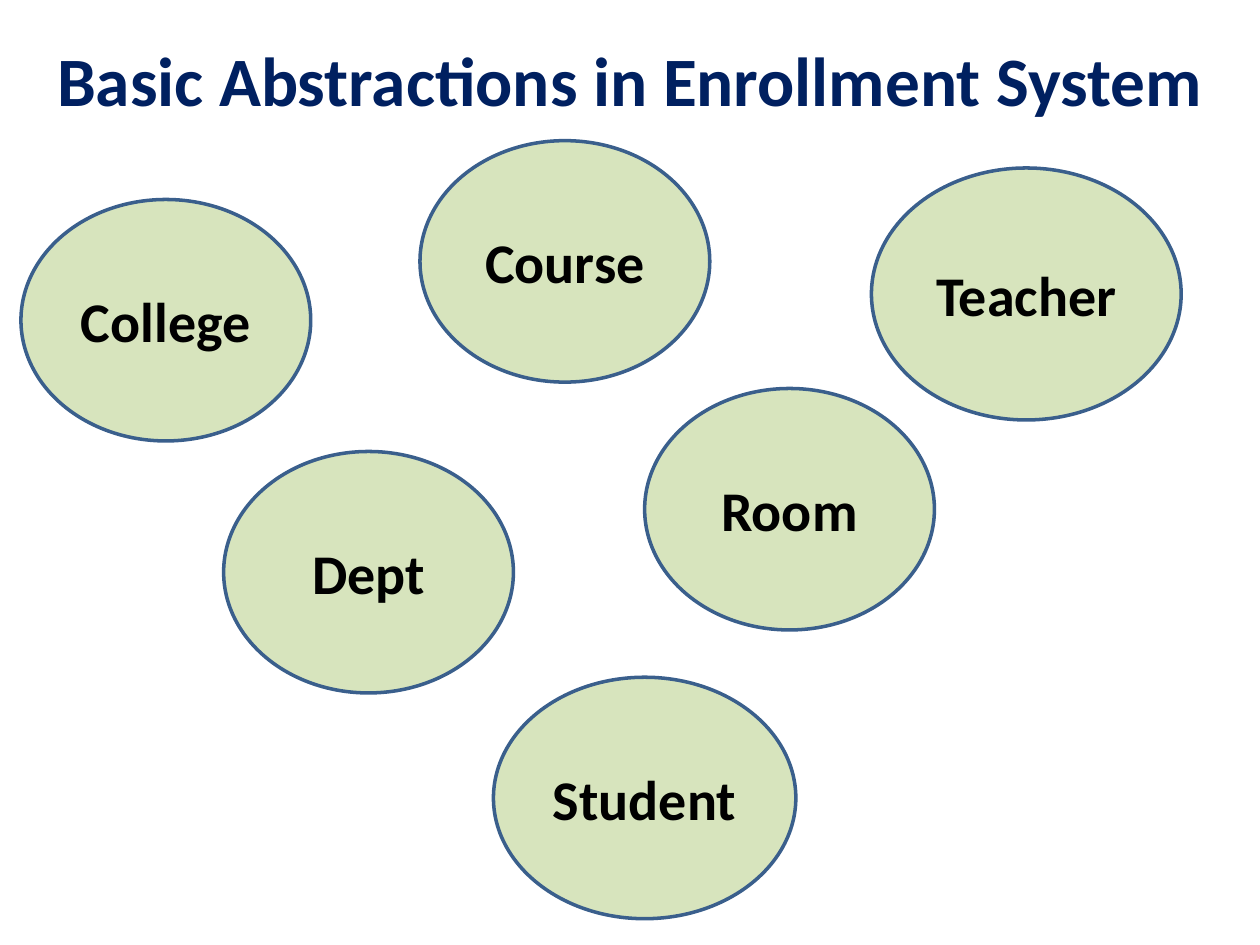
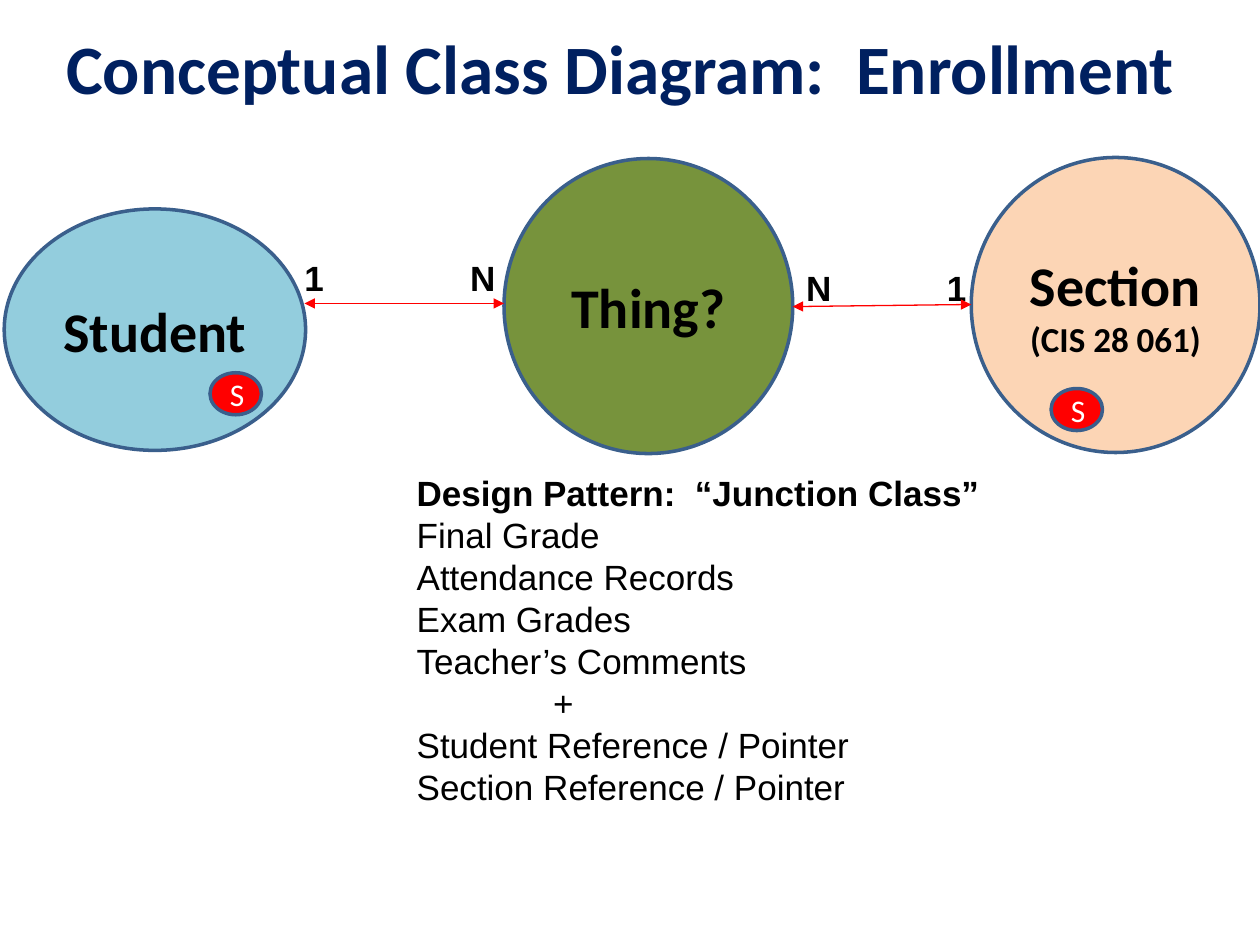
from lxml import etree
from pptx import Presentation, util as u
from pptx.dml.color import RGBColor
from pptx.enum import shapes, text
from pptx.oxml.ns import qn

# Shared grid: 120 columns by 90 rows
COLUMNS, ROWS = 120, 90
WIDTH, HEIGHT = u.Inches(10), u.Inches(7.5)


def colour(value):
    return RGBColor.from_string(value)


class Deck:
    """Holds the shared style and the slide being built."""

    heading_font, label_font = "Calibri", "Arial"
    title_colour, outline, ink, arrow = "002060", "3A5F8C", "000000", "FF0000"

    def __init__(self):
        self.presentation = Presentation()
        self.presentation.slide_width = WIDTH
        self.presentation.slide_height = HEIGHT
        self.slide = None

    def x(self, columns):
        return round(WIDTH * columns / COLUMNS)

    def y(self, rows):
        return round(HEIGHT * rows / ROWS)

    def box(self, left, top, width, height):
        return self.x(left), self.y(top), self.x(width), self.y(height)

    def style(self, paragraph, size, font, ink, bold=True, align=None):
        paragraph.alignment = align
        for run in paragraph.runs:
            run.font.name, run.font.size, run.font.bold = font, u.Pt(size), bold
            run.font.color.rgb = colour(ink)

    def new_slide(self, title, place):
        layout = self.presentation.slide_layouts[5]
        self.slide = self.presentation.slides.add_slide(layout)
        shape = self.slide.shapes.title
        shape.left, shape.top, shape.width, shape.height = self.box(*place)
        frame = shape.text_frame
        frame.text = title
        frame.auto_size = text.MSO_AUTO_SIZE.NONE
        frame.vertical_anchor = text.MSO_ANCHOR.MIDDLE
        self.style(frame.paragraphs[0], 39.6, self.heading_font,
                   self.title_colour, align=text.PP_ALIGN.CENTER)

    def ellipse(self, words, place, fill, sizes=(32,), ink=ink, bold=True):
        shape = self.slide.shapes.add_shape(shapes.MSO_SHAPE.OVAL, *self.box(*place))
        shape.shadow.inherit = False
        shape.fill.solid()
        shape.fill.fore_color.rgb = colour(fill)
        shape.line.color.rgb = colour(self.outline)
        shape.line.width = u.Pt(2)
        frame = shape.text_frame
        frame.text = words
        frame.vertical_anchor = text.MSO_ANCHOR.MIDDLE
        for paragraph, size in zip(frame.paragraphs, sizes):
            self.style(paragraph, size, self.heading_font, ink, bold,
                       text.PP_ALIGN.CENTER)

    def text_box(self, lines, place):
        """Add a box whose first line is bold; return its paragraphs."""
        frame = self.slide.shapes.add_textbox(*self.box(*place)).text_frame
        frame.word_wrap = True
        frame.text = "\n".join(lines)
        for number, paragraph in enumerate(frame.paragraphs):
            self.style(paragraph, 20, self.label_font, self.ink, bold=number == 0)
        return frame.paragraphs

    def multiplicity(self, start, end, place, gap):
        """Write the two ends of a relation, set apart by a tab stop."""
        paragraph = self.text_box([f"{start}\t{end}"], place)[0]
        tabs = etree.Element(qn("a:tabLst"))
        etree.SubElement(tabs, qn("a:tab"), pos=str(self.x(gap)), algn="l")
        paragraph._p.get_or_add_pPr().append(tabs)

    def double_arrow(self, left, top, right, bottom):
        connector = self.slide.shapes.add_connector(
            shapes.MSO_CONNECTOR.STRAIGHT,
            self.x(left), self.y(top), self.x(right), self.y(bottom))
        connector.line.color.rgb = colour(self.arrow)
        connector.line.width = u.Pt(0.75)
        line = connector.line._get_or_add_ln()
        for end in ("a:headEnd", "a:tailEnd"):
            etree.SubElement(line, qn(end), type="triangle")
        etree.SubElement(connector._element.spPr, qn("a:effectLst"))


def add_abstractions(deck):
    deck.new_slide("Basic Abstractions in Enrollment System", (2, 0, 116, 15))
    abstractions = {
        "College": (2, 19, 27.6, 23),
        "Dept": (21.3, 43, 27.6, 23),
        "Course": (40, 13.4, 27.6, 23),
        "Student": (47, 64.5, 28.8, 23),
        "Room": (61.4, 37, 27.6, 23),
        "Teacher": (83, 16, 29.5, 24),
    }
    for name, place in abstractions.items():
        deck.ellipse(name, place, "D7E4BD")


def add_class_diagram(deck):
    deck.new_slide("Conceptual Class Diagram:  Enrollment", (0.3, 0.7, 117.6, 11.4))

    # Classes on either side, each with its marker
    deck.ellipse("Student", (0.4, 19.9, 28.7, 23), "93CDDD")
    deck.ellipse("Section\n(CIS 28 061)", (92.5, 15, 27.5, 28.1), "FCD5B5", (32, 20))
    for left, top in ((100.1, 37), (20, 35.5)):
        deck.ellipse("S", (left, top, 4.9, 4), "FF0000", (18,), "FFFFFF", False)

    # Junction class and its attributes
    deck.ellipse("Thing?", (48, 15.1, 27.5, 28.1), "77933C")
    attributes = deck.text_box(
        ["Design Pattern:  “Junction Class”", "Final Grade", "Attendance Records",
         "Exam Grades", "Teacher’s Comments", "+",
         "Student Reference / Pointer", "Section Reference / Pointer"],
        (38.5, 44.3, 69, 33.5))
    attributes[5]._p.get_or_add_pPr().set("marL", str(deck.x(13)))

    # Relations
    deck.multiplicity("1", "N", (27.8, 23.8, 22, 5.3), 15.8)
    deck.double_arrow(29, 28.9, 48, 28.9)
    deck.multiplicity("N", "1", (75.6, 24.8, 19.6, 5.3), 13.4)
    deck.double_arrow(75.5, 29.2, 92.5, 29)


def main():
    deck = Deck()
    add_abstractions(deck)
    add_class_diagram(deck)
    deck.presentation.save("out.pptx")


if __name__ == "__main__":
    main()
